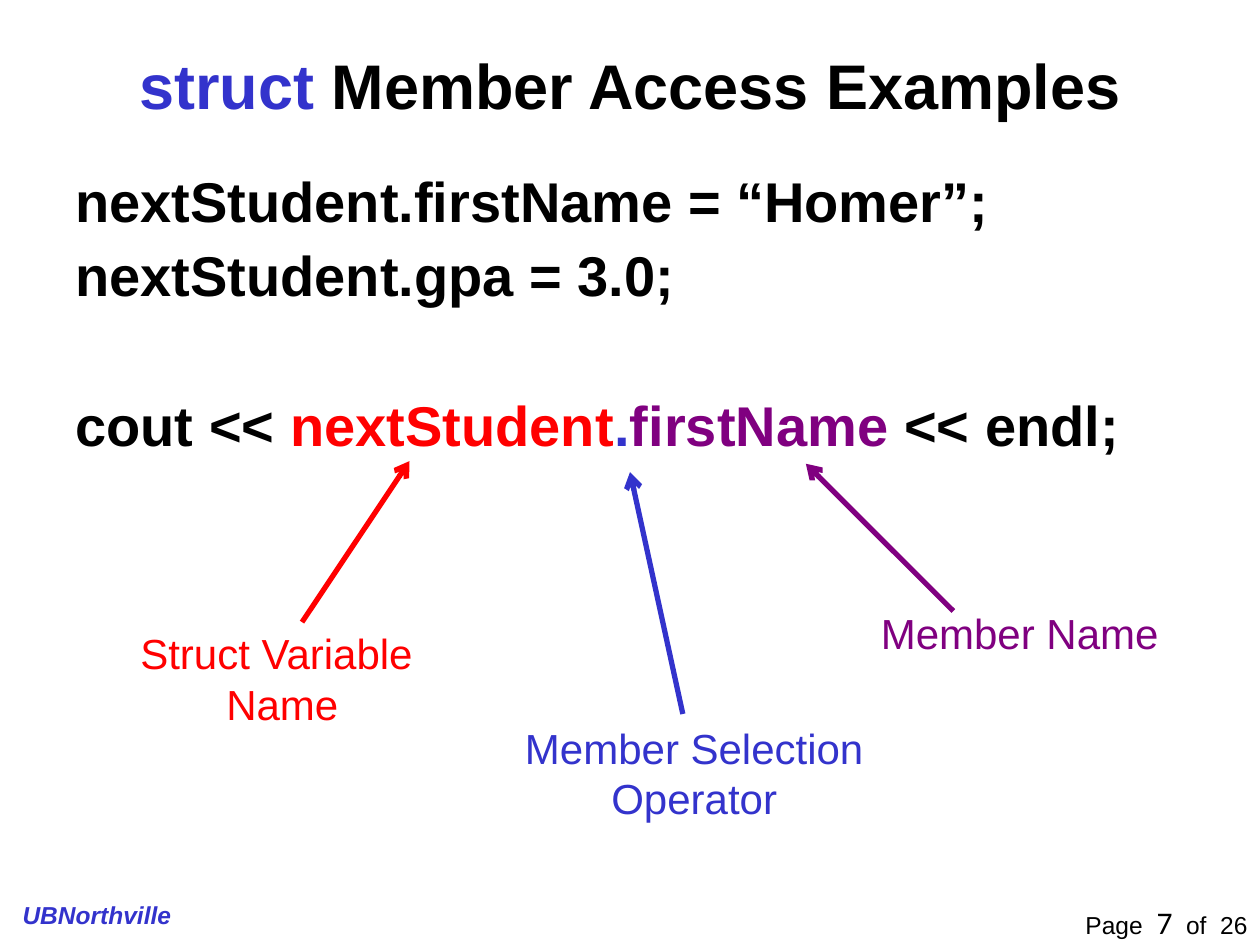
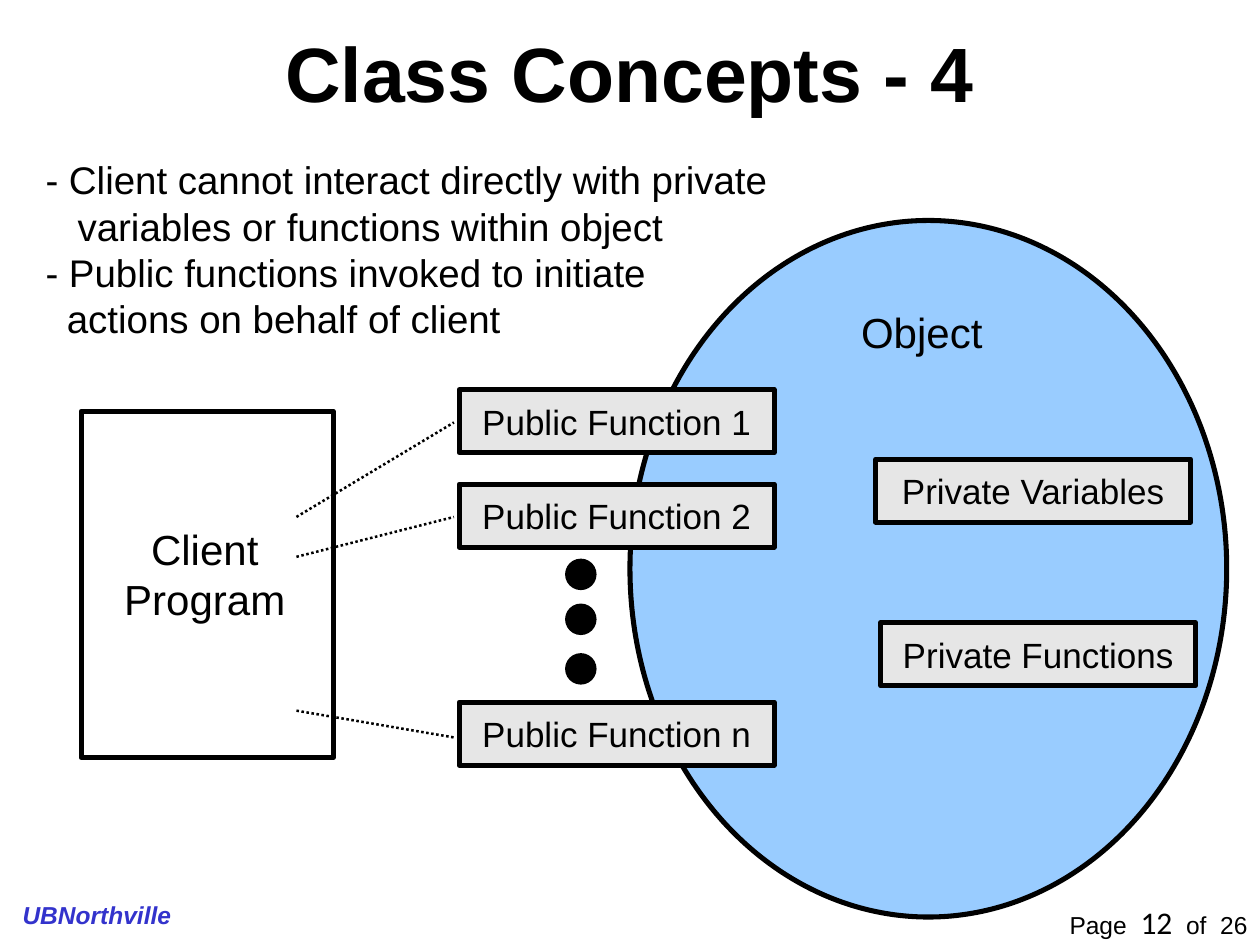
from lxml import etree
from pptx import Presentation
from pptx.dml.color import RGBColor
from pptx.enum import dml, shapes, text
from pptx.oxml.ns import qn
from pptx.util import Pt

BLACK = RGBColor(0x00, 0x00, 0x00)
BLUE = RGBColor(0x33, 0x33, 0xCC)
RED = RGBColor(0xFF, 0x00, 0x00)
PURPLE = RGBColor(0x80, 0x00, 0x80)
SKY = RGBColor(0x99, 0xCC, 0xFF)
GREY = RGBColor(0xE6, 0xE6, 0xE6)

LEFT, CENTER, RIGHT = text.PP_ALIGN.LEFT, text.PP_ALIGN.CENTER, text.PP_ALIGN.RIGHT
TOP, MIDDLE = text.MSO_ANCHOR.TOP, text.MSO_ANCHOR.MIDDLE
OVAL, RECTANGLE = shapes.MSO_SHAPE.OVAL, shapes.MSO_SHAPE.RECTANGLE
OUTLINE = 2.89
PAGE_COUNT = 26


def set_format(target, values):
    for name, value in values.items():
        setattr(target, name, value)


def points(*lengths):
    return [Pt(length) for length in lengths]


def write(frame, lines, size, align=LEFT, anchor=TOP, wrap=False, **font):
    """Each line is a string, or a list of (words, font values) pairs."""
    set_format(frame, dict(word_wrap=wrap, vertical_anchor=anchor,
                           auto_size=text.MSO_AUTO_SIZE.NONE,
                           margin_left=Pt(7.2), margin_right=Pt(7.2),
                           margin_top=Pt(3.6), margin_bottom=Pt(3.6)))
    for index, line in enumerate(lines):
        paragraph = frame.add_paragraph() if index else frame.paragraphs[0]
        paragraph.alignment = align
        for words, changes in [(line, {})] if isinstance(line, str) else line:
            run = paragraph.add_run()
            run.text = words
            values = dict(name="Arial", size=Pt(size), color=BLACK) | font | changes
            run.font.color.rgb = values.pop("color")
            set_format(run.font, values)
    return frame.paragraphs


def add_text(slide, box, lines, size, **style):
    label = slide.shapes.add_textbox(*points(*box))
    return write(label.text_frame, lines, size, **style)


def paint(figure, fill, outline):
    figure.shadow.inherit = False
    if fill is None:
        figure.fill.background()
    else:
        figure.fill.solid()
        figure.fill.fore_color.rgb = fill
    if outline:
        figure.line.color.rgb = BLACK
        figure.line.width = Pt(outline)
    else:
        figure.line.fill.background()
    return figure


def add_figure(slide, kind, box, fill=None, outline=OUTLINE):
    return paint(slide.shapes.add_shape(kind, *points(*box)), fill, outline)


def add_callout(slide, box, lines, color):
    left, top, width, height = points(*box)
    right, bottom = left + width, top + height
    outline = slide.shapes.build_freeform(left, top)
    outline.add_line_segments([(right, top), (right, bottom), (left, bottom)])
    callout = paint(outline.convert_to_shape(), None, 0)
    write(callout.text_frame, lines, 24, align=CENTER, color=color)


def add_line(slide, start, end, color, width):
    line = slide.shapes.add_connector(shapes.MSO_CONNECTOR.STRAIGHT,
                                      *points(*start, *end))
    line.line.color.rgb = color
    line.line.width = Pt(width)
    etree.SubElement(line._element.spPr, qn("a:effectLst"))
    return line


def add_arrow(slide, start, end, color):
    arrow = add_line(slide, start, end, color, 3)
    etree.SubElement(arrow.line._get_or_add_ln(), qn("a:tailEnd"), type="arrow")


def add_member_box(slide, left, top, label):
    box = add_figure(slide, RECTANGLE, (left, top, 180, 36), GREY)
    write(box.text_frame, [label], 20, align=CENTER, anchor=MIDDLE)


def start_slide(deck, page, title, title_box, title_size):
    slide = deck.slides.add_slide(deck.slide_layouts[5])
    # Footer: page count on the right, school on the left
    page_line = [("Page  ", {}), (str(page), dict(name="Calibri", size=Pt(18))),
                 (f"  of  {PAGE_COUNT}", {})]
    add_text(slide, (522, 512.6, 198, 24), [page_line], 14, align=RIGHT, wrap=True)
    add_text(slide, (5.8, 510.5, 102, 24), ["UBNorthville"], 14,
             color=BLUE, bold=True, italic=True)
    # Title
    heading = slide.shapes.title
    set_format(heading, dict(zip(("left", "top", "width", "height"),
                                 points(*title_box))))
    write(heading.text_frame, [title], title_size, align=CENTER, anchor=MIDDLE,
          wrap=True, bold=True)
    return slide


def build_member_access(deck):
    slide = start_slide(deck, 7, [("struct ", dict(color=BLUE)),
                                  ("Member Access Examples", {})],
                        (54, 23, 612, 50.4), 36)
    # Code lines, with a wider gap before the output statement
    output = [("cout << ", {}), ("nextStudent", dict(color=RED)),
              (".", dict(color=BLUE)), ("firstName", dict(color=PURPLE)),
              (" << endl;", {})]
    code = add_text(slide, (36, 95.8, 666, 366),
                    ["nextStudent.firstName = “Homer”;",
                     "nextStudent.gpa = 3.0;", output],
                    32, wrap=True, bold=True)
    for line, gap in zip(code, (0, 8, 50.8)):
        set_format(line, dict(line_spacing=0.9, space_before=Pt(gap)))

    # Names of the three parts, each with an arrow to its part
    callouts = [
        (["Member Selection", "Operator"], (293, 409.3, 207.4, 64.8),
         (390.2, 408), (360, 269.8), BLUE),
        (["Member Name"], (496.3, 343.4, 172.8, 36),
         (544.8, 349.2), (460.5, 265), PURPLE),
        (["Struct Variable", " Name"], (73, 355.3, 170, 64.8),
         (172.6, 355.5), (234, 263.5), RED),
    ]
    for label, box, start, end, color in callouts:
        add_callout(slide, box, label, color)
        add_arrow(slide, start, end, color)


def build_class_concepts(deck):
    slide = start_slide(deck, 12, "Class Concepts - 4", (54, 10.8, 612, 60.5), 44)
    # Object with its public and private members
    add_figure(slide, OVAL, (360, 126, 341, 398), SKY)
    for suffix, top in (("1", 222.7), ("2", 276.7), ("n", 401.3)):
        add_member_box(slide, 262.4, top, f"Public Function {suffix}")
    for top in (319.2, 344.9, 373.2):
        add_figure(slide, OVAL, (322.9, top, 18, 18), BLACK, outline=0)
    add_member_box(slide, 503.3, 355.9, "Private Functions")
    add_member_box(slide, 500.4, 262.4, "Private Variables")
    add_text(slide, (485, 171.4, 83.5, 36), ["Object"], 24, align=CENTER)

    # Client program and its calls
    add_text(slide, (54, 295.5, 126, 64.8), ["Client", "Program"], 24, align=CENTER)
    add_figure(slide, RECTANGLE, (46.4, 235, 144, 198))
    for start_y, end_y in ((295.4, 241.4), (318.2, 295.4), (406.1, 421.4)):
        call = add_line(slide, (169.4, start_y), (259.4, end_y), BLACK, 1.45)
        call.line.dash_style = dml.MSO_LINE.ROUND_DOT

    # Remarks, with continuation lines indented
    remarks = add_text(slide, (19, 85.9, 427.7, 112.3),
                       ["- Client cannot interact directly with private",
                        "variables or functions within object",
                        "- Public functions invoked to initiate",
                        "actions on behalf of client"], 22)
    for line, indent in ((remarks[1], 18.3), (remarks[3], 12.2)):
        line._p.get_or_add_pPr().set("marL", str(Pt(indent)))


def main():
    deck = Presentation()
    deck.slide_width, deck.slide_height = points(720, 540)
    build_member_access(deck)
    build_class_concepts(deck)
    deck.save("out.pptx")


if __name__ == "__main__":
    main()
